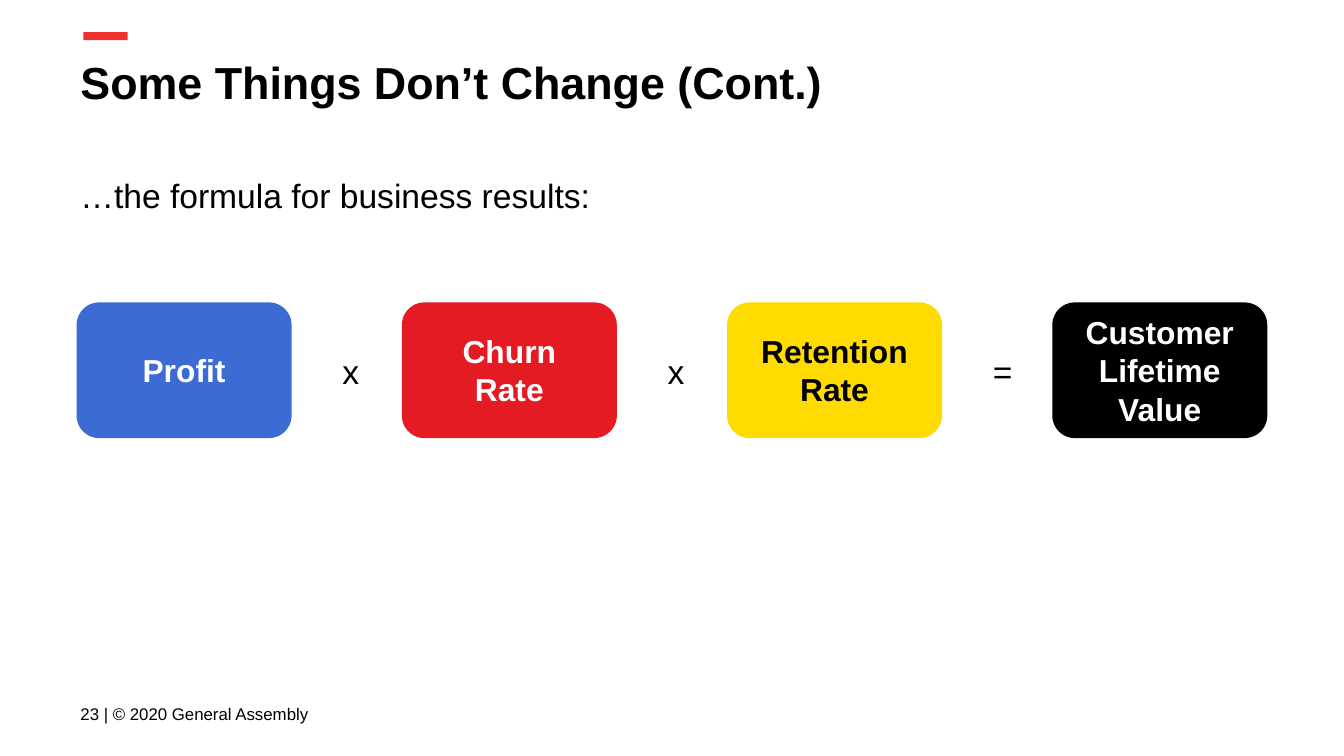
from dataclasses import dataclass

from pptx import Presentation
from pptx.dml.color import RGBColor
from pptx.enum.shapes import MSO_SHAPE as SHAPE
from pptx.enum.text import MSO_ANCHOR as ANCHOR, PP_ALIGN as ALIGN
from pptx.util import Inches, Pt

COLORS = {
    "accent": "ED332F", "blue": "3D6BD4", "red": "E51B24",
    "yellow": "FFDB00", "black": "000000", "white": "FFFFFF",
}

# Slide of 16:9, in inches
SLIDE_W = 10
SLIDE_H = SLIDE_W * 9 / 16

# Formula grid, in inches: one column per term, operators in the gaps
LEFT, PITCH = 0.57, 2.42
TERM_TOP, TERM_W, TERM_H = 2.25, 1.6, 1.01
OP_OFFSET, OP_TOP, OP_W, OP_H = 1.88, 2.37, 0.27, 0.78
TEXT_LEFT, TEXT_W = 0.5, 9.32


@dataclass
class Term:
    text: str
    fill: str
    color: str = "white"
    operator: str = ""


TERMS = [
    Term("Profit", "blue", operator="x"),
    Term("Churn\nRate", "red", operator="x"),
    Term("Retention Rate", "yellow", "black", "="),
    Term("Customer Lifetime Value", "black"),
]


def rgb(name: str) -> RGBColor:
    return RGBColor.from_string(COLORS[name])


def write(sp, text: str, size: float, color: str = "black", bold: bool = False,
          align=ALIGN.LEFT, anchor=ANCHOR.MIDDLE) -> None:
    tf = sp.text_frame
    frame = {"word_wrap": True, "vertical_anchor": anchor}
    frame |= {f"margin_{side}": Inches(0.1) for side in ("left", "top", "right", "bottom")}
    for name, value in frame.items():
        setattr(tf, name, value)
    p = tf.paragraphs[0]
    p.text, p.alignment = text, align
    for r in p.runs:
        for name, value in {"name": "Arial", "size": Pt(size), "bold": bold}.items():
            setattr(r.font, name, value)
        r.font.color.rgb = rgb(color)


def add_text(s, box: tuple, text: str, size: float, **style) -> None:
    write(s.shapes.add_textbox(*map(Inches, box)), text, size, **style)


def add_block(s, kind, box: tuple, fill: str):
    sp = s.shapes.add_shape(kind, *map(Inches, box))
    sp.shadow.inherit = False
    sp.fill.solid()
    sp.fill.fore_color.rgb = rgb(fill)
    sp.line.fill.background()
    return sp


def add_term(s, column: int, term: Term) -> None:
    x = LEFT + column * PITCH
    sp = add_block(s, SHAPE.ROUNDED_RECTANGLE, (x, TERM_TOP, TERM_W, TERM_H), term.fill)
    sp.adjustments[0] = 0.167
    write(sp, term.text, 17, term.color, bold=True, align=ALIGN.CENTER)
    if term.operator:
        add_text(s, (x + OP_OFFSET, OP_TOP, OP_W, OP_H), term.operator, 18, align=ALIGN.CENTER)


def main() -> None:
    prs = Presentation()
    prs.slide_width, prs.slide_height = Inches(SLIDE_W), Inches(SLIDE_H)
    s = prs.slides.add_slide(prs.slide_layouts[6])

    # Heading with accent bar
    add_block(s, SHAPE.RECTANGLE, (0.62, 0.24, 0.33, 0.06), "accent")
    add_text(s, (TEXT_LEFT, 0.31, TEXT_W, 0.63), "Some Things Don’t Change (Cont.)", 24,
             bold=True, anchor=ANCHOR.TOP)
    add_text(s, (TEXT_LEFT, 1.2, TEXT_W, 0.63), "…the formula for business results:", 18,
             anchor=ANCHOR.TOP)

    # Formula
    for column, term in enumerate(TERMS):
        add_term(s, column, term)

    # Footer
    add_text(s, (TEXT_LEFT, 5.1, 2.59, 0.43), "23 | © 2020 General Assembly", 9)

    prs.save("out.pptx")


if __name__ == "__main__":
    main()
